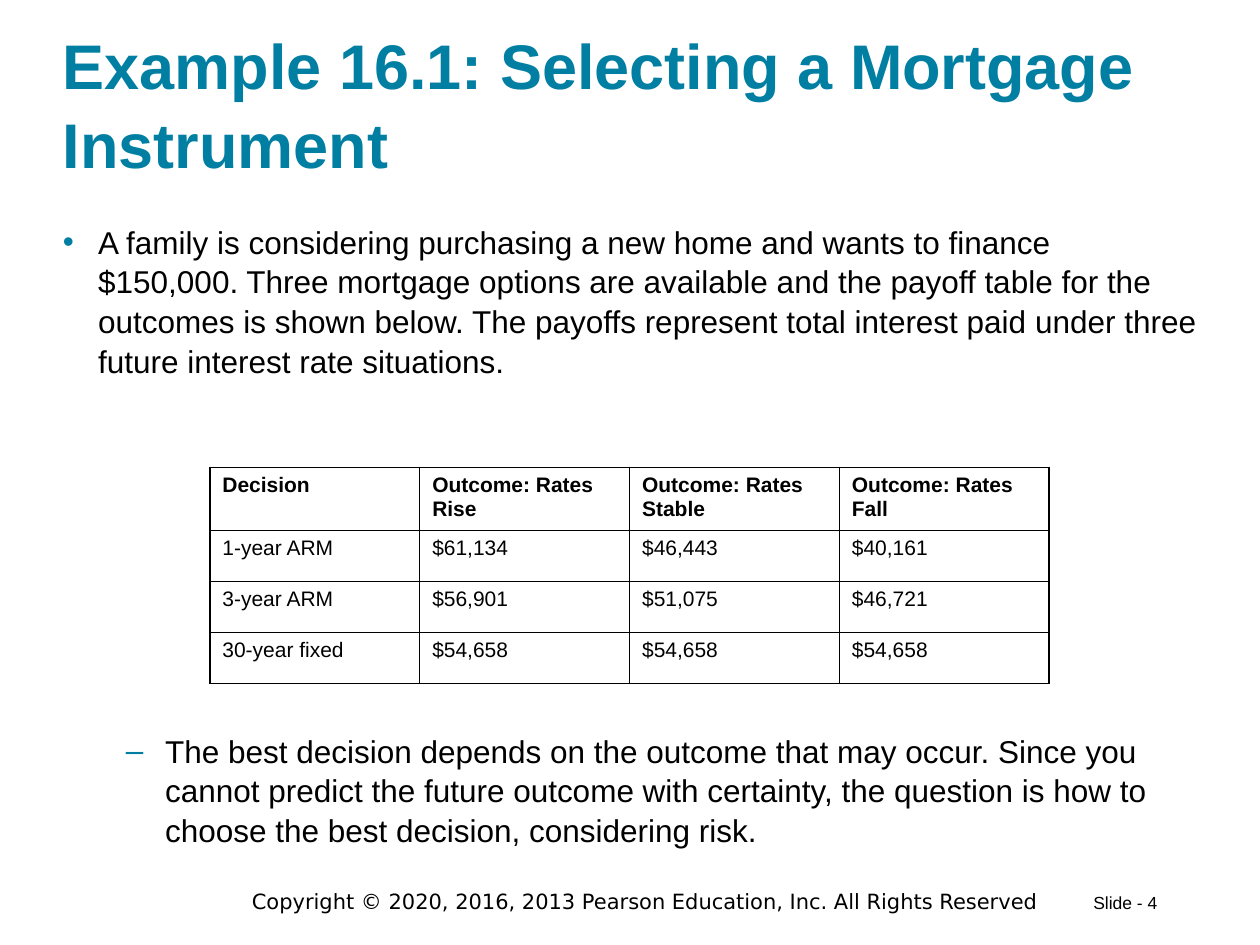
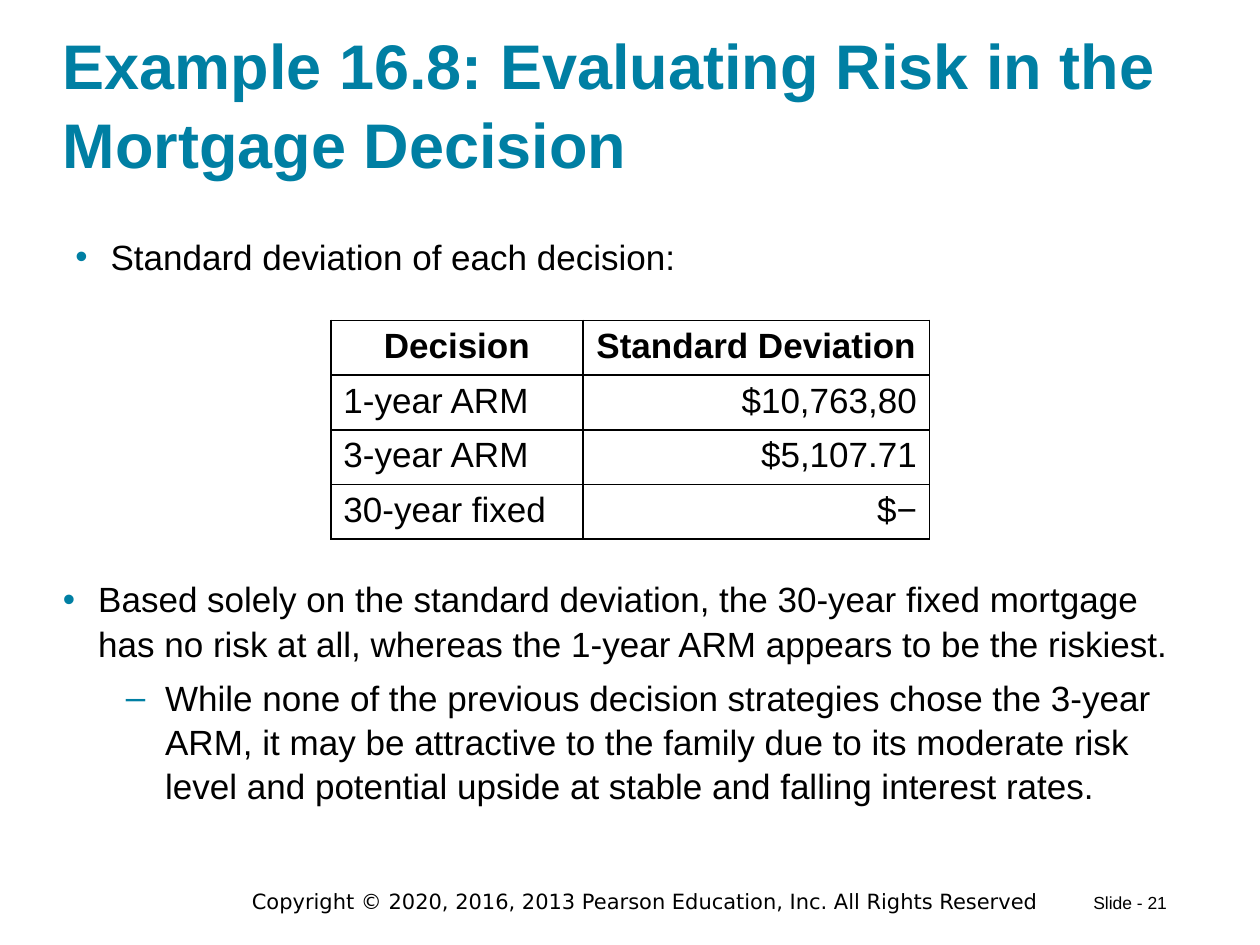
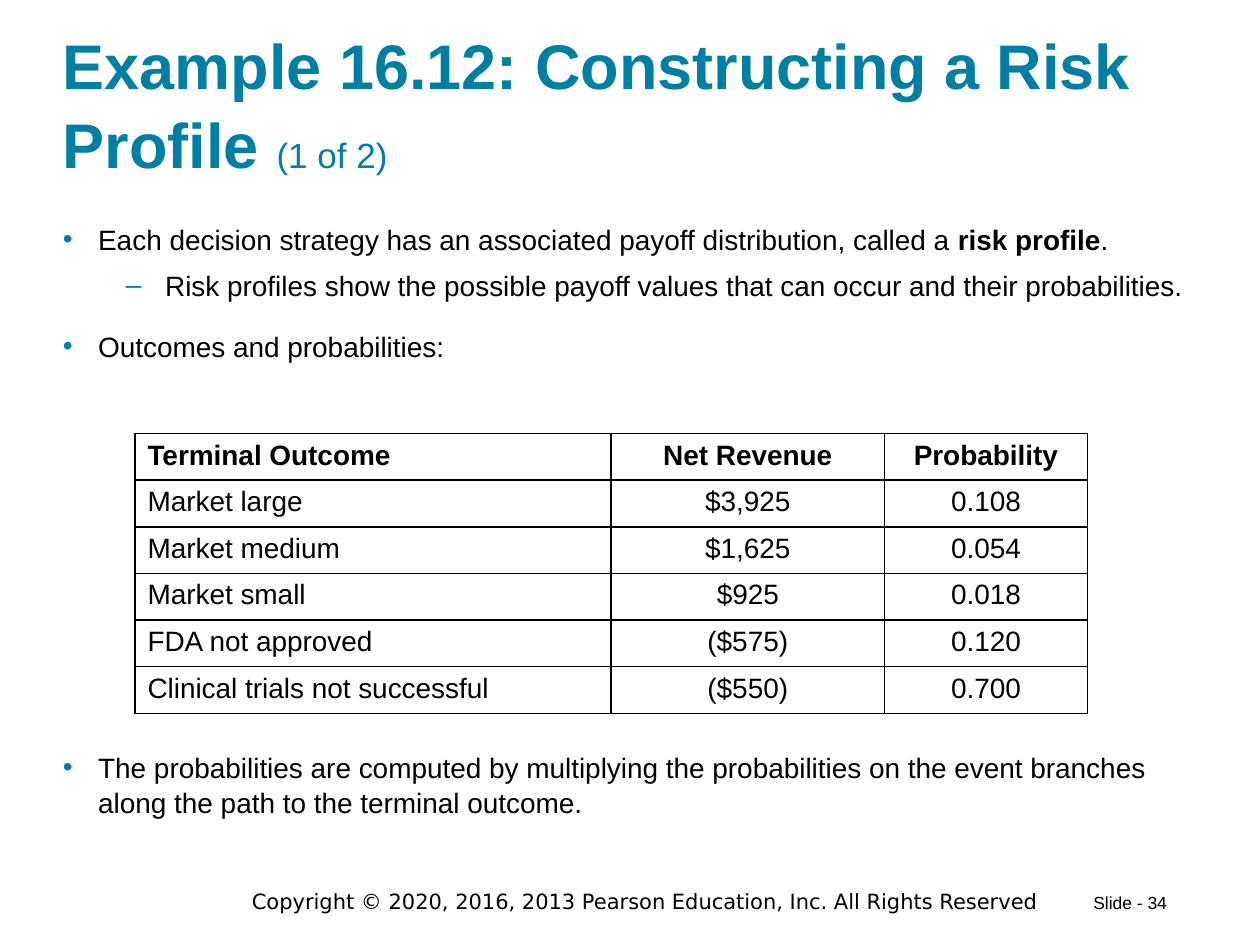
from lxml import etree
from pptx import Presentation
from pptx.dml.color import RGBColor
from pptx.enum.text import MSO_ANCHOR, PP_ALIGN
from pptx.oxml.ns import qn
from pptx.util import Cm, Pt

LEFT, CENTER, RIGHT = PP_ALIGN.LEFT, PP_ALIGN.CENTER, PP_ALIGN.RIGHT
BOTTOM = MSO_ANCHOR.BOTTOM

TEAL, BLACK, WHITE = "007FA3", "000000", "FFFFFF"
FONT, FOOTER_FONT = "Arial", "DejaVu Sans"
LINE_SPACING = 1.05
COPYRIGHT = "Copyright © 2020, 2016, 2013 Pearson Education, Inc. All Rights Reserved"
FOOTER_INSETS = (0.25, 0.13, 0.25, 0.13)

# Bullet levels: character, left margin, hanging indent, space before
LEVELS = [("•", Cm(0.71), Cm(-0.71), Pt(15)), ("–", Cm(2.06), Cm(-0.79), Pt(6))]

# Bodies hold box, inset, size and (level, text) items; asterisks enclose bold words.
SLIDES = [
    {
        "number": 4,
        "title": ["Example 16.1: Selecting a Mortgage Instrument"],
        "bodies": [
            ((1.27, 4.45, 22.86, 4.42), 0, 18, [
                (0, "A family is considering purchasing a new home and wants to finance "
                    "$150,000. Three mortgage options are available and the payoff table for "
                    "the outcomes is shown below. The payoffs represent total interest paid "
                    "under three future interest rate situations.")]),
            ((1.27, 14.71, 22.86, 2.74), 0, 18, [
                (1, "The best decision depends on the outcome that may occur. Since you "
                    "cannot predict the future outcome with certainty, the question is how "
                    "to choose the best decision, considering risk.")]),
        ],
        "table": {
            "at": (4.23, 9.42), "widths": [4.23] * 4, "row_height": 1.03, "size": 12,
            "header_aligns": [LEFT] * 4, "aligns": [LEFT] * 4,
            "rows": [
                ["Decision", "Outcome: Rates Rise", "Outcome: Rates Stable",
                 "Outcome: Rates Fall"],
                ["1-year ARM", "$61,134", "$46,443", "$40,161"],
                ["3-year ARM", "$56,901", "$51,075", "$46,721"],
                ["30-year fixed", "$54,658", "$54,658", "$54,658"],
            ],
        },
    },
    {
        "number": 21,
        "title": ["Example 16.8: Evaluating Risk in the Mortgage Decision"],
        "bodies": [
            ((1.27, 4.45, 22.86, 1.63), 0.25, 20, [
                (0, "Standard deviation of each decision:")]),
            ((1.27, 11.61, 22.43, 5.44), 0, 20, [
                (0, "Based solely on the standard deviation, the 30-year fixed mortgage has "
                    "no risk at all, whereas the 1-year ARM appears to be the riskiest."),
                (1, "While none of the previous decision strategies chose the 3-year ARM, it "
                    "may be attractive to the family due to its moderate risk level and "
                    "potential upside at stable and falling interest rates.")]),
        ],
        "table": {
            "at": (6.67, 6.46), "widths": [5.08, 6.99], "row_height": 1.04, "size": 20,
            "header_aligns": [CENTER, CENTER], "aligns": [LEFT, RIGHT],
            "rows": [
                ["Decision", "Standard Deviation"],
                ["1-year ARM", "$10,763,80"],
                ["3-year ARM", "$5,107.71"],
                ["30-year fixed", "$−"],
            ],
        },
    },
    {
        "number": 34,
        "title": ["Example 16.12: Constructing a Risk Profile ", "(1 of 2)"],
        "bodies": [
            ((1.27, 4.45, 22.86, 3.61), 0, 16, [
                (0, "Each decision strategy has an associated payoff distribution, called a "
                    "*risk profile*."),
                (1, "Risk profiles show the possible payoff values that can occur and their "
                    "probabilities."),
                (0, "Outcomes and probabilities:")]),
            ((1.27, 15.09, 22.86, 2.24), 0, 16, [
                (0, "The probabilities are computed by multiplying the probabilities on the "
                    "event branches along the path to the terminal outcome.")]),
        ],
        "table": {
            "at": (2.72, 8.74), "widths": [9.6, 5.51, 4.09], "row_height": 0.94, "size": 16,
            "header_aligns": [LEFT, CENTER, CENTER], "aligns": [LEFT, CENTER, CENTER],
            "rows": [
                ["Terminal Outcome", "Net Revenue", "Probability"],
                ["Market large", "$3,925", "0.108"],
                ["Market medium", "$1,625", "0.054"],
                ["Market small", "$925", "0.018"],
                ["FDA not approved", "($575)", "0.120"],
                ["Clinical trials not successful", "($550)", "0.700"],
            ],
        },
    },
]


def add_box(s, box, insets):
    """Add a wrapping text box and return its text frame."""
    tf = s.shapes.add_textbox(*map(Cm, box)).text_frame
    tf.word_wrap = True
    tf.margin_left, tf.margin_top, tf.margin_right, tf.margin_bottom = map(Cm, insets)
    return tf


def style(font, size, color=BLACK, bold=False, name=FONT):
    font.name, font.size, font.bold = name, Pt(size), bold
    font.color.rgb = RGBColor.from_string(color)


prs = Presentation()
prs.slide_width, prs.slide_height = Cm(25.4), Cm(19.05)

for data in SLIDES:
    s = prs.slides.add_slide(prs.slide_layouts[6])

    # Footer
    p = add_box(s, (4.65, 17.78, 16.71, 0.76), FOOTER_INSETS).paragraphs[0]
    p.text = COPYRIGHT
    p.alignment = CENTER
    style(p.runs[0].font, 12, name=FOOTER_FONT)
    p = add_box(s, (21.79, 17.86, 2.06, 0.69), FOOTER_INSETS).paragraphs[0]
    p.text = f"Slide - {data['number']}"
    style(p.runs[0].font, 10)

    # Title, with an optional smaller part counter
    tf = add_box(s, (1.27, 0.61, 22.86, 3.05), (0, 0.25, 0, 0))
    tf.vertical_anchor = BOTTOM
    p = tf.paragraphs[0]
    p.line_spacing = LINE_SPACING
    for i, text in enumerate(data["title"]):
        r = p.add_run()
        r.text = text
        style(r.font, 20 if i else 36, TEAL, bold=i == 0)

    # Bulleted text
    for box, inset, size, items in data["bodies"]:
        tf = add_box(s, box, [inset] * 4)
        for i, (level, text) in enumerate(items):
            p = tf.add_paragraph() if i else tf.paragraphs[0]
            char, margin, indent, space = LEVELS[level]
            p.level = level
            pPr = p._p.get_or_add_pPr()
            pPr.set("marL", str(margin))
            pPr.set("indent", str(indent))
            buClr = etree.SubElement(pPr, qn("a:buClr"))
            etree.SubElement(buClr, qn("a:srgbClr"), val=TEAL)
            etree.SubElement(pPr, qn("a:buFont"), typeface=FONT)
            etree.SubElement(pPr, qn("a:buChar"), char=char)
            p.line_spacing = LINE_SPACING
            if i:
                p.space_before = space
            for j, part in enumerate(text.split("*")):
                r = p.add_run()
                r.text = part
                style(r.font, size, bold=j % 2 == 1)

    # Table
    spec = data["table"]
    rows, widths, height = spec["rows"], spec["widths"], spec["row_height"]
    x, y = spec["at"]
    table = s.shapes.add_table(len(rows), len(widths), Cm(x), Cm(y),
                               Cm(sum(widths)), Cm(height * len(rows))).table
    for column, width in zip(table.columns, widths):
        column.width = Cm(width)
    for i, values in enumerate(rows):
        table.rows[i].height = Cm(height)
        aligns = spec["aligns"] if i else spec["header_aligns"]
        for j, (value, align) in enumerate(zip(values, aligns)):
            cell = table.cell(i, j)
            tcPr = cell._tc.get_or_add_tcPr()
            for side in ("a:lnL", "a:lnR", "a:lnT", "a:lnB"):
                ln = etree.SubElement(tcPr, qn(side), w=str(Pt(1)))
                fill = etree.SubElement(ln, qn("a:solidFill"))
                etree.SubElement(fill, qn("a:srgbClr"), val=BLACK)
            cell.fill.solid()
            cell.fill.fore_color.rgb = RGBColor.from_string(WHITE)
            p = cell.text_frame.paragraphs[0]
            p.text = value
            p.alignment = align
            style(p.runs[0].font, spec["size"], bold=i == 0)

prs.save("out.pptx")
